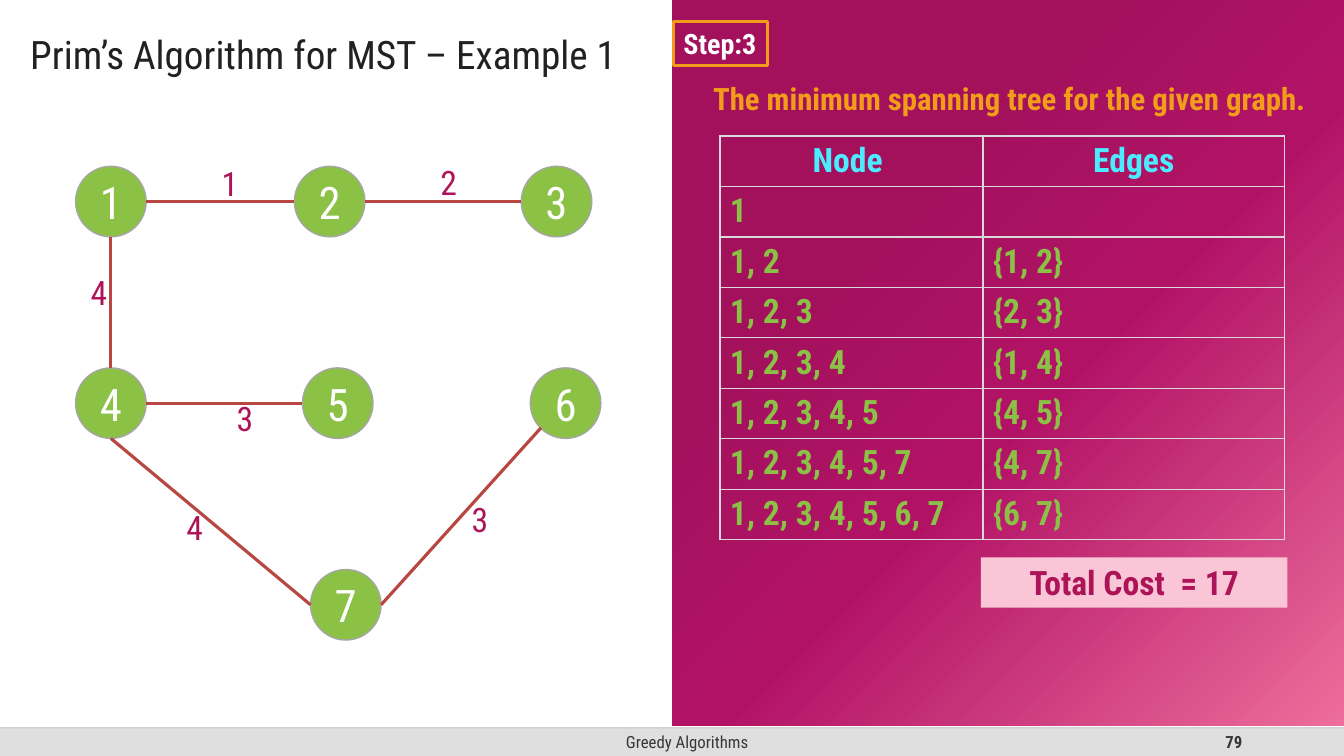
from collections import namedtuple

from lxml import etree
from pptx import Presentation
from pptx.dml.color import RGBColor
from pptx.enum.shapes import MSO_CONNECTOR as Connector
from pptx.enum.shapes import MSO_SHAPE as Preset
from pptx.enum.text import MSO_ANCHOR as Anchor
from pptx.enum.text import PP_ALIGN as Align
from pptx.oxml import parse_xml
from pptx.oxml.ns import nsdecls, qn
from pptx.util import Inches, Pt

FONT = "Roboto Condensed"
COLORS = {
    "bar": "DFDFDF", "bar_line": "BFBFBF", "footer": "373737", "title": "212121",
    "node": "8BC145", "node_line": "A6A6A6", "edge": "B84742", "weight": "AD1457",
    "white": "FFFFFF", "orange": "F19D19", "header": "4CEBFF", "grid": "D9D9D9",
    "cost": "F9C5D7", "dark": "A3115D", "middle": "B21266", "pink": "ED6D9B",
}
Box = namedtuple("Box", "left top width height")

NODE_SIZE = 0.7
NODES = {1: (0.75, 1.65), 2: (2.92, 1.65), 3: (5.17, 1.65), 4: (0.75, 3.65),
         5: (3, 3.65), 6: (5.26, 3.65), 7: (3.08, 5.65)}
SITES = {"top": (0.5, 0), "left": (0, 0.5), "bottom": (0.5, 1), "right": (1, 0.5),
         "bottom left": (0.15, 0.85)}
EDGES = [
    (1, "right", 2, "left", "1", (2.1, 1.57)),
    (2, "right", 3, "left", "2", (4.27, 1.56)),
    (4, "right", 5, "left", "3", (2.25, 3.9)),
    (1, "bottom", 4, "top", "4", (0.8, 2.65)),
    (6, "bottom left", 7, "right", "3", (4.58, 4.9)),
    (4, "bottom", 7, "left", "4", (1.75, 4.98)),
]
ROWS = [
    ("Node ", "Edges"), ("1", ""), ("1, 2", "{1, 2}"), ("1, 2, 3", "{2, 3}"),
    ("1, 2, 3, 4", "{1, 4}"), ("1, 2, 3, 4, 5", "{4, 5}"),
    ("1, 2, 3, 4, 5, 7", "{4, 7}"), ("1, 2, 3, 4, 5, 6, 7", "{6, 7}"),
]


def rgb(name):
    return RGBColor.from_string(COLORS[name])


def write_text(frame, text, size=24, color="white", bold=False, align=Align.LEFT,
               anchor=Anchor.TOP, wrap=True, spacing=None):
    frame.word_wrap = wrap
    frame.vertical_anchor = anchor
    paragraph = frame.paragraphs[0]
    paragraph.alignment = align
    paragraph.line_spacing = spacing
    run = paragraph.add_run()
    run.text = text
    run.font.name = FONT
    run.font.size = Pt(size)
    run.font.bold = bold
    run.font.color.rgb = rgb(color)


def add_text(slide, box, text, **text_format):
    shape = slide.shapes.add_textbox(*map(Inches, box))
    write_text(shape.text_frame, text, **text_format)
    return shape


def add_box(slide, preset, box, fill=None, line=None, line_width=1):
    shape = slide.shapes.add_shape(preset, *map(Inches, box))
    shape.shadow.inherit = False
    if fill:
        shape.fill.solid()
        shape.fill.fore_color.rgb = rgb(fill)
    else:
        shape.fill.background()
    if line:
        shape.line.color.rgb = rgb(line)
        shape.line.width = Pt(line_width)
    else:
        shape.line.fill.background()
    return shape


def add_line(slide, start, end, color, width):
    line = slide.shapes.add_connector(Connector.STRAIGHT, *map(Inches, (*start, *end)))
    line.line.color.rgb = rgb(color)
    line.line.width = Pt(width)
    etree.SubElement(line._element.spPr, qn("a:effectLst"))
    return line


def set_radial_gradient(shape, stops):
    stop_xml = "".join(
        f'<a:gs pos="{position * 1000}"><a:srgbClr val="{COLORS[color]}"/></a:gs>'
        for position, color in stops)
    gradient = parse_xml(
        f'<a:gradFill {nsdecls("a")} rotWithShape="1"><a:gsLst>{stop_xml}</a:gsLst>'
        '<a:path path="circle"><a:fillToRect r="100000" b="100000"/></a:path></a:gradFill>')
    properties = shape._element.spPr
    properties.replace(properties.find(qn("a:noFill")), gradient)


def set_borders(cell, color, width):
    properties = cell._tc.get_or_add_tcPr()
    for index, side in enumerate(("lnL", "lnR", "lnT", "lnB")):
        properties.insert(index, parse_xml(
            f'<a:{side} {nsdecls("a")} w="{Pt(width)}"><a:solidFill>'
            f'<a:srgbClr val="{COLORS[color]}"/></a:solidFill></a:{side}>'))


def add_footer(slide, box):
    add_box(slide, Preset.RECTANGLE, box, fill="bar")
    text_format = dict(size=12, color="footer", anchor=Anchor.MIDDLE)
    add_text(slide, Box(box.left + 4.42, box.top, 4.79, box.height),
             "Greedy Algorithms", align=Align.CENTER, **text_format)
    add_text(slide, Box(box.left + 9.42, box.top, 3, box.height),
             "79", bold=True, align=Align.RIGHT, **text_format)
    rule = add_line(slide, (box.left, box.top), (box.left + box.width, box.top), "bar_line", 1)
    color = rule._element.spPr.find(".//" + qn("a:srgbClr"))
    etree.SubElement(color, qn("a:alpha"), val="70000")


def add_title(slide, box):
    title = add_text(slide, box, "Prim’s Algorithm for MST – Example 1", size=28,
                     color="title", anchor=Anchor.MIDDLE, spacing=1.5)
    title.text_frame.margin_left = Inches(0.3)


def add_graph(slide, box):
    def site_point(node, site):
        return [origin + place + NODE_SIZE * share
                for origin, place, share in zip(box, NODES[node], SITES[site])]

    for number, (left, top) in NODES.items():
        circle = add_box(slide, Preset.OVAL,
                         Box(box.left + left, box.top + top, NODE_SIZE, NODE_SIZE),
                         fill="node", line="node_line")
        write_text(circle.text_frame, str(number), size=32, align=Align.CENTER,
                   anchor=Anchor.MIDDLE)
    for start, start_site, end, end_site, weight, (left, top) in EDGES:
        add_line(slide, site_point(start, start_site), site_point(end, end_site), "edge", 2.25)
        add_text(slide, Box(box.left + left, box.top + top, 0.4, 0.5), weight, color="weight")


def add_edge_table(slide, box):
    table = slide.shapes.add_table(len(ROWS), 2, *map(Inches, box)).table
    table.horz_banding = False
    table.first_row = False
    for column, width in zip(table.columns, (2.61, box.width - 2.61)):
        column.width = Inches(width)
    for row_index, values in enumerate(ROWS):
        table.rows[row_index].height = Inches(box.height / len(ROWS))
        header = row_index == 0
        for column_index, value in enumerate(values):
            cell = table.cell(row_index, column_index)
            cell.fill.background()
            set_borders(cell, "grid", 1)
            if value:
                write_text(cell.text_frame, value, bold=True,
                           color="header" if header else "node",
                           align=Align.CENTER if header else Align.LEFT)


def add_result_panel(slide, box):
    panel = add_box(slide, Preset.RECTANGLE, box)
    set_radial_gradient(panel, [(30, "dark"), (55, "middle"), (100, "pink")])
    step = add_box(slide, Preset.RECTANGLE, Box(box.left + 0.01, box.top + 0.21, 0.93, 0.44),
                   line="orange", line_width=2.25)
    write_text(step.text_frame, "Step:3", size=20, bold=True, wrap=False)
    add_text(slide, Box(box.left + 0.24, box.top + 0.74, 6.2, 0.47),
             "The minimum spanning tree for the given graph.",
             size=22, color="orange", bold=True, align=Align.CENTER)
    add_edge_table(slide, Box(box.left + 0.47, box.top + 1.35, 5.6, 4))
    cost = add_box(slide, Preset.RECTANGLE, Box(box.left + 3.06, box.top + 5.53, 3.04, 0.5),
                   fill="cost")
    write_text(cost.text_frame, "Total Cost  = 17", color="weight", bold=True,
               align=Align.CENTER)


def main():
    presentation = Presentation()
    presentation.slide_width = Inches(13.33)
    presentation.slide_height = Inches(7.5)
    slide = presentation.slides.add_slide(presentation.slide_layouts[6])
    add_footer(slide, Box(0, 7.22, 13.33, 0.28))
    add_title(slide, Box(0, 0.01, 6.8, 0.81))
    add_graph(slide, Box(0, 0, 6.67, 7.2))
    add_result_panel(slide, Box(6.67, 0, 6.67, 7.2))
    presentation.save("out.pptx")


if __name__ == "__main__":
    main()
